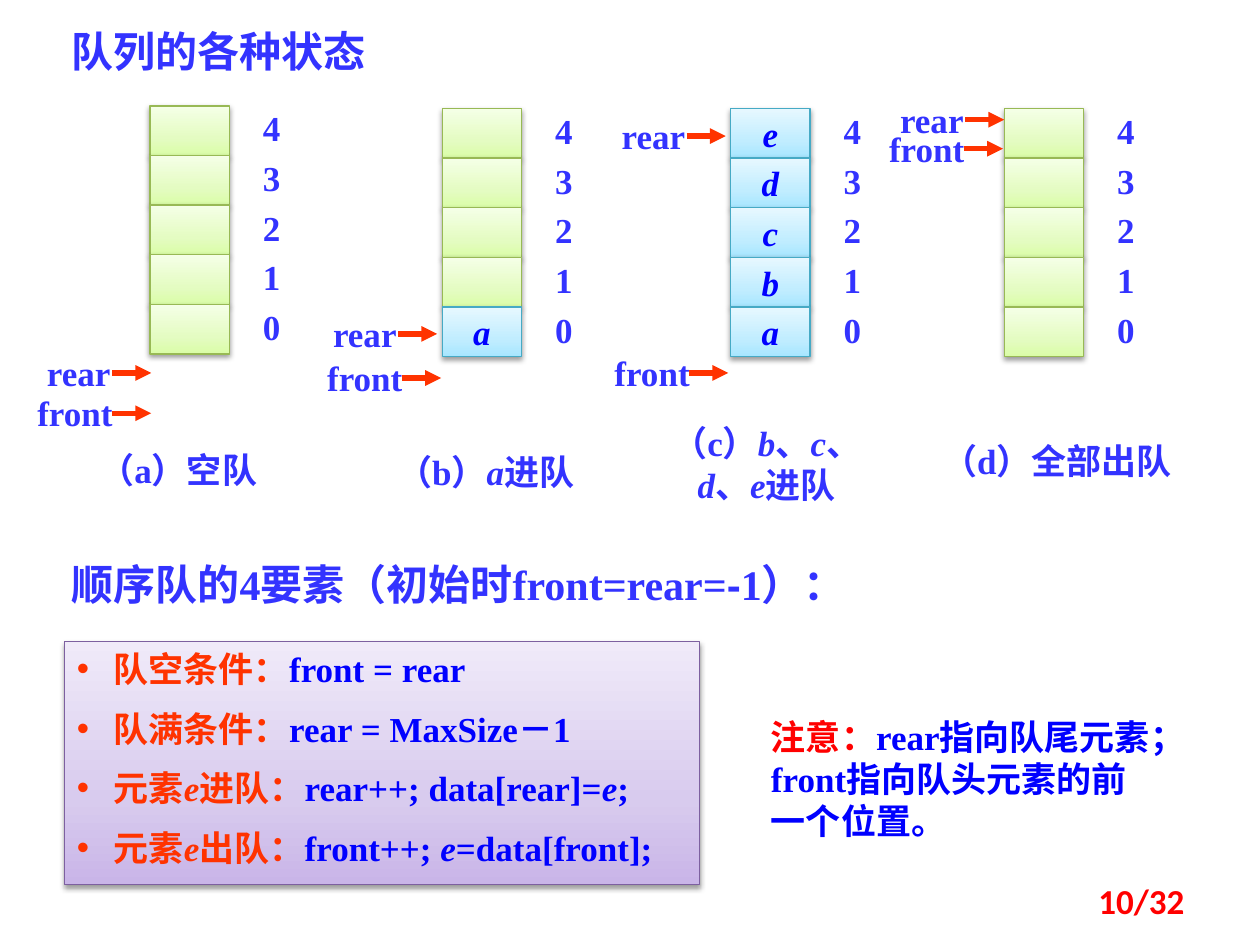
from copy import deepcopy

from lxml import etree
from pptx import Presentation
from pptx.dml.color import RGBColor
from pptx.enum import shapes as kinds, text as t
from pptx.oxml.ns import qn
from pptx.util import Inches, Pt

THEME = {
    "blue": "3333FF", "deep": "0000FF", "orange": "FF3300", "red": "FF0000",
    "serif": "Times New Roman", "sans": "Noto Sans CJK SC",
    "heading": 24, "text": 20,
    "empty": ("98B955", ["DAFDA7", "E4FCC2", "F5FFE7"]),
    "filled": ("46AAC5", ["A7E6FF", "C1EDFF", "E7F8FF"]),
    "panel": ("7D60A0", ["C9B5E8", "D8CBEE", "F0EAF9"]),
}
LEFT, CENTER, RIGHT = t.PP_ALIGN.LEFT, t.PP_ALIGN.CENTER, t.PP_ALIGN.RIGHT
ITALIC = {"italic": True}


def write(shape, paragraphs, align=LEFT, wrap=True, anchor=t.MSO_ANCHOR.TOP,
          fit=t.MSO_AUTO_SIZE.SHAPE_TO_FIT_TEXT, **base):
    """Fill a shape with paragraphs, each a list of strings or (string, format) pairs."""
    frame = shape.text_frame
    frame.word_wrap, frame.auto_size, frame.vertical_anchor = wrap, fit, anchor
    for i, parts in enumerate(paragraphs):
        line = frame.add_paragraph() if i else frame.paragraphs[0]
        line.alignment = align
        line.space_before = Pt(THEME["text"] / 2 if i else 0)
        for part in parts:
            words, own = (part, {}) if isinstance(part, str) else part
            look = {"name": THEME["serif"], "size": THEME["text"], "bold": True,
                    "color": THEME["blue"], **base, **own}
            color, size = look.pop("color"), look.pop("size")
            run = line.add_run()
            run.text = words
            run.font.size = Pt(size)
            run.font.color.rgb = RGBColor.from_string(color)
            for key, value in look.items():
                setattr(run.font, key, value)
            etree.SubElement(run._r.get_or_add_rPr(), qn("a:ea"), typeface=THEME["sans"])


def shade(shape, style):
    """Give a shape an outline, an upward three-stop gradient and a soft shadow."""
    outline, colors = style
    shape.fill.gradient()
    shape.fill.gradient_angle = 90
    stop_list = shape._element.spPr.find(".//" + qn("a:gsLst"))
    stop_list.insert(1, deepcopy(stop_list[0]))
    for stop, color, position in zip(shape.fill.gradient_stops, colors, (0, 0.35, 1)):
        stop.color.rgb = RGBColor.from_string(color)
        stop.position = position
    shape.line.color.rgb = RGBColor.from_string(outline)
    shape.line.width = Pt(0.75)
    shape.shadow.inherit = False
    shadow = etree.SubElement(shape._element.spPr.find(qn("a:effectLst")), qn("a:outerShdw"),
                              blurRad=str(Pt(3.1)), dist=str(Pt(1.6)), dir="5400000",
                              rotWithShape="0")
    black = etree.SubElement(shadow, qn("a:srgbClr"), val="000000")
    etree.SubElement(black, qn("a:alpha"), val="38000")


deck = Presentation()
deck.slide_width, deck.slide_height = Inches(10), Inches(7.5)
slide = deck.slides.add_slide(deck.slide_layouts[1])

# Title and the list of queue conditions
title, conditions = slide.placeholders
for holder, box in ((title, (0.47, 0.15, 3.09, 0.5)), (conditions, (0.51, 5.09, 5.04, 1.93))):
    holder.left, holder.top, holder.width, holder.height = map(Inches, box)
write(title, [["队列的各种状态"]], name=THEME["sans"], size=THEME["heading"])

shade(conditions, THEME["panel"])
CODE = {"color": THEME["deep"]}
CODE_ITALIC = {**CODE, **ITALIC}
write(conditions, [
    [" 队空条件：", ("front = rear", CODE)],
    [" 队满条件：", ("rear = MaxSize－1", CODE)],
    [" 元素", ("e", ITALIC), "进队：", ("rear++; data[rear]=", CODE), ("e", CODE_ITALIC),
     (";", CODE)],
    [" 元素", ("e", ITALIC), "出队：", ("front++; ", CODE), ("e", CODE_ITALIC),
     ("=data[front];", CODE)],
], color=THEME["orange"], fit=t.MSO_AUTO_SIZE.NONE)
for condition in conditions.text_frame.paragraphs:
    props = condition._p.get_or_add_pPr()
    props.set("marL", str(Inches(0.23)))
    props.set("indent", str(-Inches(0.23)))

# Queue states: left, top, contents from slot 4 down, pointers (name, arrow left, arrow y)
SLOTS = 5
CELL_W, CELL_H = 0.63, 1.97 / SLOTS
POINTER_LABELS = {"rear": (0.66, 0.79), "front": (0.77, 0.95)}  # offset to arrow, width
STATES = [
    (1.19, 0.84, "     ", [("rear", 0.89, 2.96), ("front", 0.89, 3.28)]),
    (3.51, 0.86, "    a", [("front", 3.19, 3), ("rear", 3.16, 2.65)]),
    (5.8, 0.86, "edcba", [("front", 5.47, 2.96), ("rear", 5.45, 1.08)]),
    (7.97, 0.86, "     ", [("front", 7.65, 1.18), ("rear", 7.66, 0.95)]),
]
for left, top, contents, pointers in STATES:
    queue = slide.shapes.add_group_shape().shapes
    for slot, element in enumerate(contents):
        y = top + slot * CELL_H
        cell = queue.add_shape(kinds.MSO_SHAPE.RECTANGLE, Inches(left), Inches(y),
                               Inches(CELL_W), Inches(CELL_H))
        shade(cell, THEME["empty" if element == " " else "filled"])
        if element != " ":
            write(cell, [[element]], CENTER, wrap=False, anchor=t.MSO_ANCHOR.MIDDLE,
                  fit=t.MSO_AUTO_SIZE.NONE, color=THEME["deep"], italic=True)
        index = queue.add_textbox(Inches(left + 0.73), Inches(y - 0.04),
                                  Inches(0.47), Inches(0.43))
        write(index, [[str(SLOTS - 1 - slot)]], CENTER)
    for pointer, x, y in pointers:
        arrow = queue.add_connector(kinds.MSO_CONNECTOR.STRAIGHT, Inches(x), Inches(y),
                                    Inches(x + 0.31), Inches(y))
        arrow.line.color.rgb = RGBColor.from_string(THEME["orange"])
        arrow.line.width = Pt(3)
        etree.SubElement(arrow.line._get_or_add_ln(), qn("a:tailEnd"), type="triangle")
        etree.SubElement(arrow._element.spPr, qn("a:effectLst"))
        offset, width = POINTER_LABELS[pointer]
        label = queue.add_textbox(Inches(x - offset), Inches(y - 0.22),
                                  Inches(width), Inches(0.43))
        write(label, [[pointer]], CENTER)

# Captions, subheading, note and page number
TEXTS = [
    ((0.63, 3.51, 1.57, 0.43), ["（a）空队"], {"align": CENTER}),
    ((2.91, 3.53, 1.89, 0.43), ["（b）", ("a", ITALIC), "进队"], {"align": CENTER}),
    ((5.2, 3.3, 1.77, 0.77),
     ["（c）", ("b", ITALIC), "、", ("c", ITALIC), "、", ("d", ITALIC), "、", ("e", ITALIC), "进队"],
     {"align": CENTER}),
    ((7.37, 3.44, 2.04, 0.44), ["（d）全部出队"], {"align": CENTER}),
    ((0.47, 4.38, 7.72, 0.5),
     ["顺序队的4要素（初始时front=rear=", ("-", {"name": "Arial"}), "1）："],
     {"size": THEME["heading"]}),
    ((6.02, 5.63, 3.28, 1.11),
     [("注意：", {"name": THEME["sans"], "color": THEME["red"]}),
      "rear指向队尾元素；front指向队头元素的前一个位置。"], {"color": THEME["deep"]}),
    ((7.17, 6.95, 2.33, 0.4), ["10/32"],
     {"align": RIGHT, "anchor": t.MSO_ANCHOR.MIDDLE, "fit": t.MSO_AUTO_SIZE.NONE,
      "name": "Calibri", "color": THEME["red"]}),
]
for box, parts, style in TEXTS:
    write(slide.shapes.add_textbox(*map(Inches, box)), [parts], **style)

deck.save("out.pptx")
